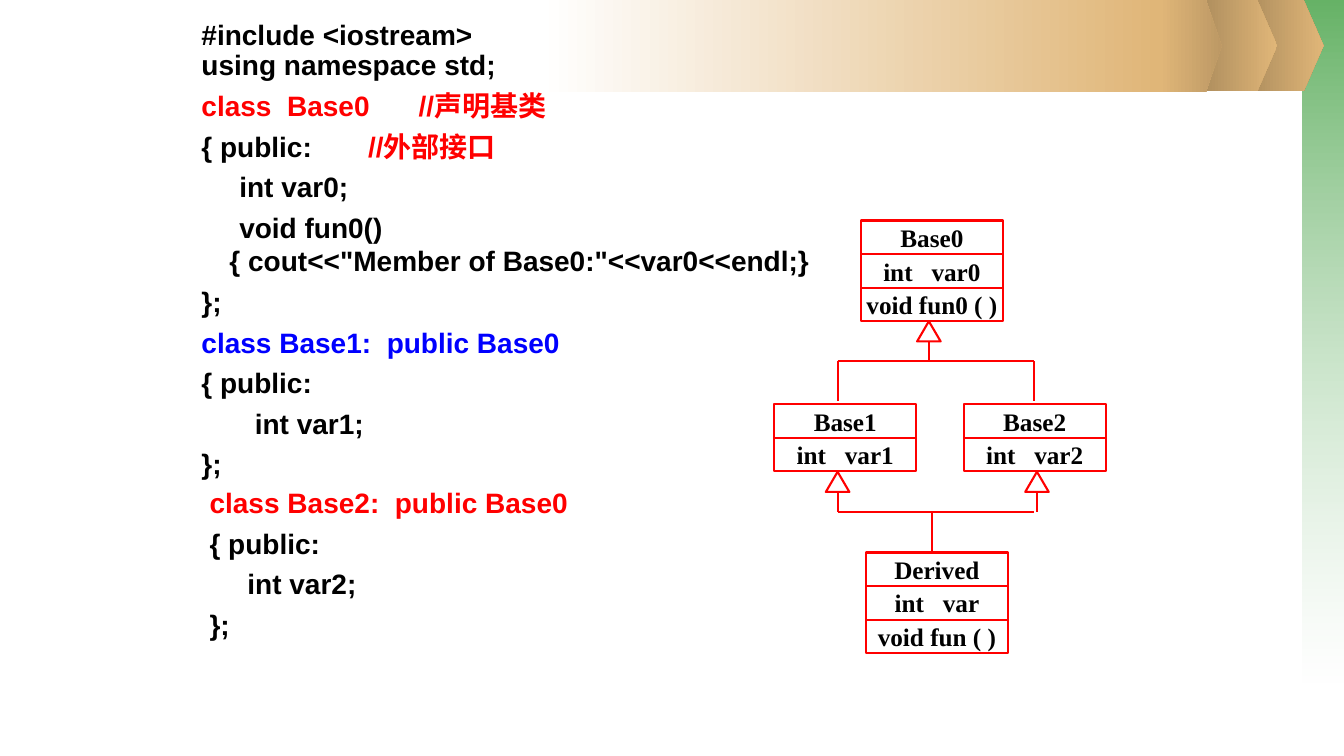
"""Draw a slide that shows C++ virtual base code beside its class diagram."""

import dataclasses

import lxml.etree
import pptx
import pptx.dml.color
import pptx.enum.shapes
import pptx.enum.text
import pptx.oxml.ns
import pptx.util

Pt = pptx.util.Pt
qn = pptx.oxml.ns.qn
KIND = pptx.enum.shapes.MSO_SHAPE

HUES = {
    "ink": "000000",
    "red": "FF0000",
    "blue": "0000FF",
    "white": "FFFFFF",
    "green": "339933",
    "sand": "E0B678",
    "brown": "AB8B5C",
    "tan": "BD9965",
}
PEN = 1.5
ROW_W, ROW_H = 101.5, 24
HEAD_W, HEAD_H = 16.8, 14.4
HANG = 27


@dataclasses.dataclass(frozen=True)
class Band:
    kind: int
    left: float
    top: float
    width: float
    height: float
    first: str
    last: str
    angle: int = 0
    alphas: tuple[int, ...] = ()


@dataclasses.dataclass(frozen=True)
class Line:
    runs: tuple[tuple[str, str], ...]
    gap: float = 5
    hang: float = HANG
    pitch: float = 1.0


@dataclasses.dataclass(frozen=True)
class Block:
    left: float
    top: float
    width: float
    height: float
    lines: tuple[Line, ...]


@dataclasses.dataclass(frozen=True)
class Card:
    left: float
    top: float
    rows: tuple[str, ...]


@dataclasses.dataclass(frozen=True)
class Wire:
    x1: float
    y1: float
    x2: float
    y2: float


def code(text: str, hue: str = "ink", gap: float = 5) -> Line:
    return Line(((text, hue),), gap)


def intro(text: str) -> Line:
    return Line(((text, "ink"),), 0, 0, 0.9)


BANDS = (
    Band(KIND.RECTANGLE, 930.3, 0, 29.7, 487.5, "green", "white", 270, (75, 37)),
    Band(KIND.PENTAGON, 888.5, 0, 56.9, 65.3, "brown", "sand"),
    Band(KIND.PENTAGON, 855.4, 0, 56.9, 65.3, "brown", "sand"),
    Band(KIND.RECTANGLE, 386, 0, 442, 65.7, "white", "sand"),
    Band(KIND.PENTAGON, 828, 0, 44.6, 65.7, "sand", "tan"),
)

BLOCKS = (
    Block(136.8, 11.5, 466.6, 468, (
        intro("#include <iostream>"),
        intro("using namespace std;"),
        code("class  Base0\t　//声明基类", "red"),
        Line((("{ public:\t　", "ink"), ("//外部接口", "red"))),
        code("\tint var0;"),
        code("\tvoid fun0()"),
        code('　{ cout<<"Member of Base0:"<<var0<<endl;}', gap=0),
        code("};"),
        code("class Base1:  public Base0", "blue"),
        code("{ public:"),
        code("\t  int var1;"),
        code("};"),
    )),
    Block(142.6, 343.4, 337.7, 175.7, (
        code("class Base2:  public Base0", "red", 0),
        code("{ public:"),
        code("\tint var2;"),
        code("};"),
    )),
)

CARDS = (
    Card(614.9, 157.5, ("Base0", "int   var0", "void fun0 ( )")),
    Card(553, 288.7, ("Base1", "int   var1")),
    Card(688.3, 288.7, ("Base2", "int   var2")),
    Card(618.5, 394.6, ("Derived", "int   var", "void fun ( )")),
)

HEADS = ((663.5, 229.5), (598.3, 337), (740.7, 337))

WIRES = (
    Wire(598.3, 258, 738.7, 258),
    Wire(598.3, 258, 598.3, 286.8),
    Wire(738.7, 258, 738.7, 286.8),
    Wire(598.3, 365.8, 738.7, 365.8),
    Wire(665.5, 365.8, 665.5, 394.6),
)


def tint(name: str) -> pptx.dml.color.RGBColor:
    return pptx.dml.color.RGBColor.from_string(HUES[name])


def put_run(para, text: str, size: float, face: str, hue: str) -> None:
    run = para.add_run()
    run.text = text
    run.font.size = Pt(size)
    run.font.name = face
    run.font.bold = True
    run.font.color.rgb = tint(hue)


def draw_band(slide, band: Band) -> None:
    shape = slide.shapes.add_shape(
        band.kind, Pt(band.left), Pt(band.top), Pt(band.width), Pt(band.height))
    shape.shadow.inherit = False
    shape.line.fill.background()
    if band.kind == KIND.PENTAGON:
        shape.adjustments[0] = 0.25
    shape.fill.gradient()
    shape.fill.gradient_angle = band.angle
    for stop, hue in zip(shape.fill.gradient_stops, (band.first, band.last)):
        stop.color.rgb = tint(hue)
    for node, alpha in zip(shape._element.iter(qn("a:srgbClr")), band.alphas):
        lxml.etree.SubElement(node, qn("a:alpha")).set("val", str(alpha * 1000))


def draw_block(slide, block: Block) -> None:
    box = slide.shapes.add_textbox(
        Pt(block.left), Pt(block.top), Pt(block.width), Pt(block.height))
    frame = box.text_frame
    frame.word_wrap = True
    for i, line in enumerate(block.lines):
        para = frame.add_paragraph() if i else frame.paragraphs[0]
        para.space_before = Pt(line.gap)
        para.line_spacing = line.pitch
        props = para._p.get_or_add_pPr()
        props.set("marL", str(Pt(line.hang)))
        props.set("indent", str(-Pt(line.hang)))
        for text, hue in line.runs:
            put_run(para, text, 20, "Arial", hue)


def draw_frame(slide, kind: int, left: float, top: float, width: float, height: float):
    shape = slide.shapes.add_shape(kind, Pt(left), Pt(top), Pt(width), Pt(height))
    shape.shadow.inherit = False
    shape.fill.background()
    shape.line.color.rgb = tint("red")
    shape.line.width = Pt(PEN)
    return shape


def draw_card(slide, card: Card) -> None:
    for i, text in enumerate(card.rows):
        shape = draw_frame(
            slide, KIND.RECTANGLE, card.left, card.top + i * ROW_H, ROW_W, ROW_H)
        frame = shape.text_frame
        frame.word_wrap = False
        frame.vertical_anchor = pptx.enum.text.MSO_ANCHOR.MIDDLE
        para = frame.paragraphs[0]
        para.alignment = pptx.enum.text.PP_ALIGN.CENTER
        put_run(para, text, 18, "Times New Roman", "ink")


def draw_wire(slide, wire: Wire) -> None:
    link = slide.shapes.add_connector(
        pptx.enum.shapes.MSO_CONNECTOR.STRAIGHT,
        Pt(wire.x1), Pt(wire.y1), Pt(wire.x2), Pt(wire.y2))
    link.line.color.rgb = tint("red")
    link.line.width = Pt(PEN)
    lxml.etree.SubElement(link._element.spPr, qn("a:effectLst"))


def draw_head(slide, x: float, top: float) -> None:
    draw_frame(slide, KIND.ISOSCELES_TRIANGLE, x - HEAD_W / 2, top, HEAD_W, HEAD_H)
    draw_wire(slide, Wire(x, top + HEAD_H, x, top + 2 * HEAD_H))


def main() -> None:
    deck = pptx.Presentation()
    deck.slide_width, deck.slide_height = Pt(960), Pt(540)
    slide = deck.slides.add_slide(deck.slide_layouts[6])
    for band in BANDS:
        draw_band(slide, band)
    for block in BLOCKS:
        draw_block(slide, block)
    for card in CARDS:
        draw_card(slide, card)
    for x, top in HEADS:
        draw_head(slide, x, top)
    for wire in WIRES:
        draw_wire(slide, wire)
    deck.save("out.pptx")


if __name__ == "__main__":
    main()
